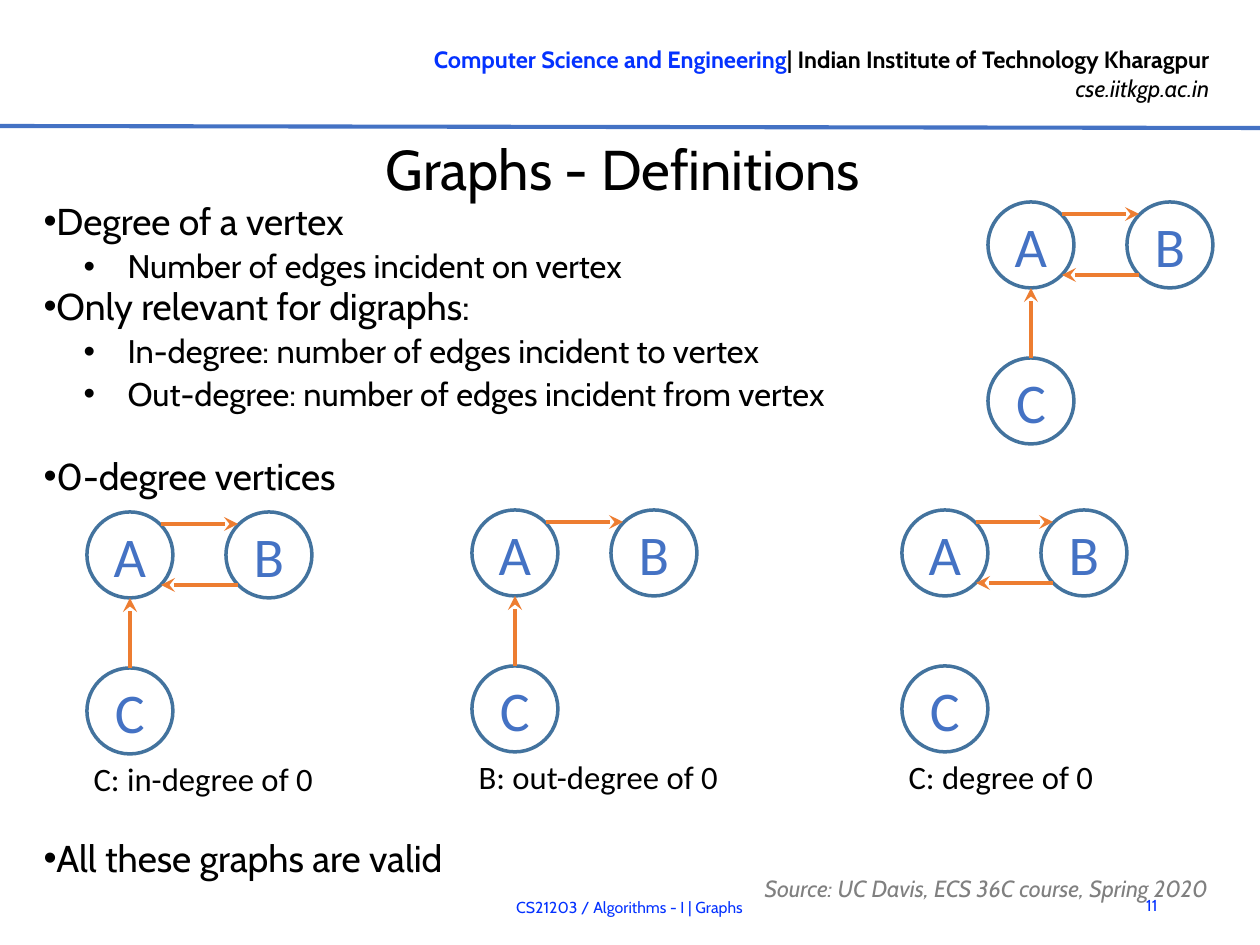
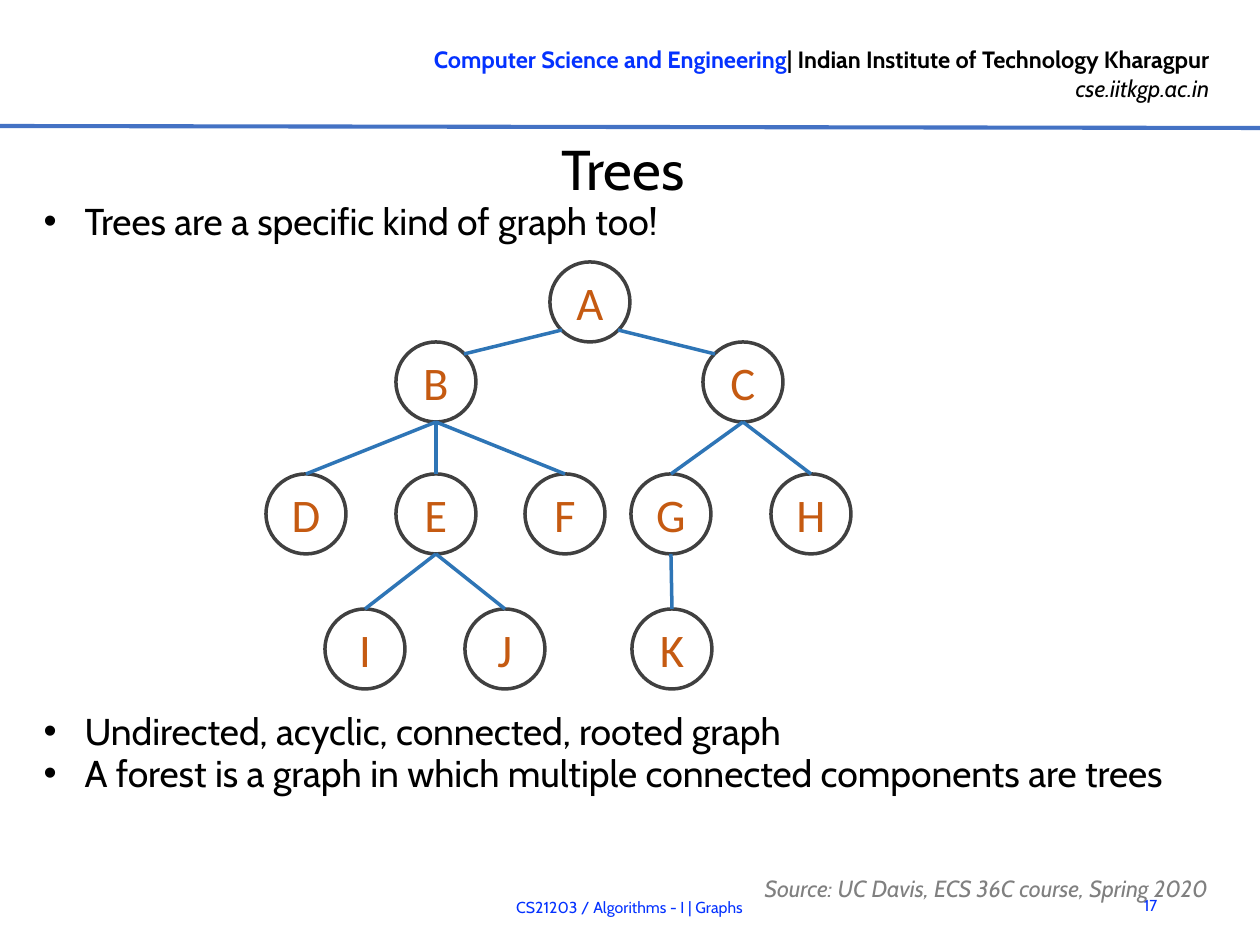
from lxml.etree import SubElement
from pptx import Presentation
from pptx.dml.color import RGBColor as Rgb
from pptx.enum.shapes import MSO_CONNECTOR as Conn, MSO_SHAPE as Shape
from pptx.enum.text import MSO_ANCHOR as Anchor, MSO_AUTO_SIZE as Auto, PP_ALIGN as Align
from pptx.oxml.ns import qn
from pptx.util import Emu, Pt

SCALE = 914400 / 168
WIDE, HIGH = 1260, 945
BLACK = Rgb(0x00, 0x00, 0x00)
BLUE = Rgb(0x04, 0x32, 0xFF)
GRAY = Rgb(0x80, 0x80, 0x80)
RULE = Rgb(0x44, 0x72, 0xC4)
RING = Rgb(0x43, 0x73, 0x9E)
ARROW = Rgb(0xED, 0x7D, 0x31)
DARK = Rgb(0x40, 0x40, 0x40)
RUST = Rgb(0xC5, 0x5A, 0x11)
EDGE = Rgb(0x2E, 0x75, 0xB6)
HEAD, PLAIN = "Cabin", "Calibri"
PITCH = 18.2  # points from one bullet line to the next


def px(*nums):
    return [Emu(round(n * SCALE)) for n in nums]


def add_run(para, text, size, color=BLACK, face=HEAD, bold=False, italic=False):
    run = para.add_run()
    run.text = text
    font = run.font
    font.size, font.name, font.bold, font.italic = Pt(size), face, bold, italic
    font.color.rgb = color


def add_box(slide, box, align=Align.LEFT, anchor=Anchor.TOP):
    """Add a wrapping text box and return its frame."""
    frame = slide.shapes.add_textbox(*px(*box)).text_frame
    frame.word_wrap = True
    frame.vertical_anchor = anchor
    frame.paragraphs[0].alignment = align
    return frame


def add_line(slide, start, end, color, width, arrow=False):
    line = slide.shapes.add_connector(Conn.STRAIGHT, *px(*start, *end))
    line.line.color.rgb = color
    line.line.width = Pt(width)
    props = line._element.spPr
    if arrow:
        SubElement(props.find(qn("a:ln")), qn("a:tailEnd"), type="stealth")
    SubElement(props, qn("a:effectLst"))


def add_node(slide, x, y, size, name, ring, color, points):
    node = slide.shapes.add_shape(Shape.OVAL, *px(x, y, size, size))
    node.shadow.inherit = False
    node.fill.background()
    node.line.color.rgb = ring
    node.line.width = Pt(1.5)
    frame = node.text_frame
    frame.word_wrap = False
    frame.margin_left = frame.margin_right = 0
    frame.vertical_anchor = Anchor.MIDDLE
    para = frame.paragraphs[0]
    para.alignment = Align.CENTER
    add_run(para, name, points, color, PLAIN)


def add_list(slide, box, items):
    """Items are (text, size, left margin, indent, empty lines above)."""
    frame = add_box(slide, box)
    for i, (text, size, left, hang, gap) in enumerate(items):
        para = frame.add_paragraph() if i else frame.paragraphs[0]
        props = para._p.get_or_add_pPr()
        margin, indent = px(left, hang)
        props.set("marL", str(margin))
        props.set("indent", str(indent))
        SubElement(props, qn("a:buFont"), typeface="Arial")
        SubElement(props, qn("a:buChar"), char="•")
        para.line_spacing = Pt(16.2)
        para.space_after = Pt(1)
        if i:
            para.space_before = Pt(1 + gap * PITCH)
        add_run(para, text, size)


def add_title(slide, text):
    title = slide.shapes.title
    title.left, title.top, title.width, title.height = px(40, 133, 1166, 69)
    frame = title.text_frame
    frame.auto_size = Auto.NONE
    frame.vertical_anchor = Anchor.MIDDLE
    frame.margin_left = frame.margin_right = frame.margin_bottom = 0
    frame.margin_top = px(2)[0]
    para = frame.paragraphs[0]
    para.alignment = Align.CENTER
    add_run(para, text, 24)


def add_head(slide):
    frame = add_box(slide, (321, 37, 905, 74), Align.RIGHT)
    name = frame.paragraphs[0]
    add_run(name, "Computer Science and Engineering", 10.1, BLUE, bold=True)
    add_run(name, "| Indian Institute of Technology Kharagpur", 10.1, bold=True)
    site = frame.add_paragraph()
    site.alignment = Align.RIGHT
    add_run(site, "cse.iitkgp.ac.in", 10.1, italic=True)
    add_line(slide, (0, 126), (WIDE, 128), RULE, 1.75)


def add_foot(slide, page):
    for text, box, align in (
        (page, (1112, 880, 62, 50), Align.RIGHT),
        ("CS21203 / Algorithms - I | Graphs", (208, 882, 843, 50), Align.CENTER),
    ):
        frame = add_box(slide, box, align, Anchor.MIDDLE)
        add_run(frame.paragraphs[0], text, 6.8, BLUE)
    frame = add_box(slide, (748, 869, 507, 29), anchor=Anchor.MIDDLE)
    para = frame.paragraphs[0]
    para.line_spacing = Pt(16)
    add_run(para, "Source: UC Davis, ECS 36C course, Spring 2020", 10, GRAY, italic=True)


def new_slide(deck, title, page):
    slide = deck.slides.add_slide(deck.slide_layouts[5])
    add_head(slide)
    add_title(slide, title)
    add_foot(slide, page)
    return slide


def add_graph(slide, x, y, edges, note=None):
    """Draw vertices A, B and C with the named arrows, and a note below."""
    size, right, down = 86, 139, 156
    for name, dx, dy in (("A", 0, 0), ("B", right, 0), ("C", 0, down)):
        add_node(slide, x + dx, y + dy, size, name, RING, RULE, 24)
    ends = {
        "AB": ((74, 12), (151, 12)),
        "BA": ((151, 73), (74, 73)),
        "CA": ((43, down), (43, size)),
    }
    for edge in edges:
        start, end = [(x + dx, y + dy) for dx, dy in ends[edge]]
        add_line(slide, start, end, ARROW, 2, arrow=True)
    if note:
        frame = add_box(slide, (x - 10, y + 239, 276, 57))
        add_run(frame.paragraphs[0], note, 14, face=PLAIN)


def add_tree(slide, x, y):
    half, slant = 40, 28
    rows = (
        (40, {"A": 324}),
        (120, {"B": 170, "C": 477}),
        (252, {"D": 40, "E": 170, "F": 299, "G": 405, "H": 545}),
        (387, {"I": 99, "J": 239, "K": 406}),
    )
    spots = {}
    for dy, row in rows:
        for name, dx in row.items():
            spots[name] = (x + dx, y + dy)
            add_node(slide, x + dx - half, y + dy - half, 2 * half, name, DARK, RUST, 20)
    for top, kids in {"A": "BC", "B": "DEF", "C": "GH", "E": "IJ", "G": "K"}.items():
        for kid in kids:
            (x1, y1), (x2, y2) = spots[top], spots[kid]
            side, drop = 0, half
            if top == "A":  # the root's edges leave at a slant
                side, drop = (slant if x2 > x1 else -slant), slant
            add_line(slide, (x1 + side, y1 + drop), (x2 - side, y2 - drop), EDGE, 1.5)


def graph_slide(deck):
    slide = new_slide(deck, "Graphs - Definitions", "11")
    main, sub = (16, 0, -44), (14, 84, -44)
    add_list(slide, (27, 197, 921, 672), (
        ("Degree of a vertex", *main, 0),
        ("Number of edges incident on vertex", *sub, 0),
        ("Only relevant for digraphs:", *main, 0),
        ("In-degree: number of edges incident to vertex", *sub, 0),
        ("Out-degree: number of edges incident from vertex", *sub, 0),
        ("0-degree vertices", *main, 1),
        ("All these graphs are valid", *main, 8),
    ))
    add_graph(slide, 988, 202, ("AB", "BA", "CA"))
    add_graph(slide, 87, 512, ("AB", "BA", "CA"), "C: in-degree of 0")
    add_graph(slide, 472, 510, ("AB", "CA"), "B: out-degree of 0")
    add_graph(slide, 902, 510, ("AB", "BA"), "C: degree of 0")


def tree_slide(deck):
    slide = new_slide(deck, "Trees", "17")
    main = (16, 41, -41)
    add_list(slide, (27, 197, 1193, 682), (
        ("Trees are a specific kind of graph too!", *main, 0),
        ("Undirected, acyclic, connected, rooted graph", *main, 11),
        ("A forest is a graph in which multiple connected components are trees", *main, 0),
    ))
    add_tree(slide, 266, 262)


def main():
    deck = Presentation()
    deck.slide_width, deck.slide_height = px(WIDE, HIGH)
    graph_slide(deck)
    tree_slide(deck)
    deck.save("out.pptx")


if __name__ == "__main__":
    main()
